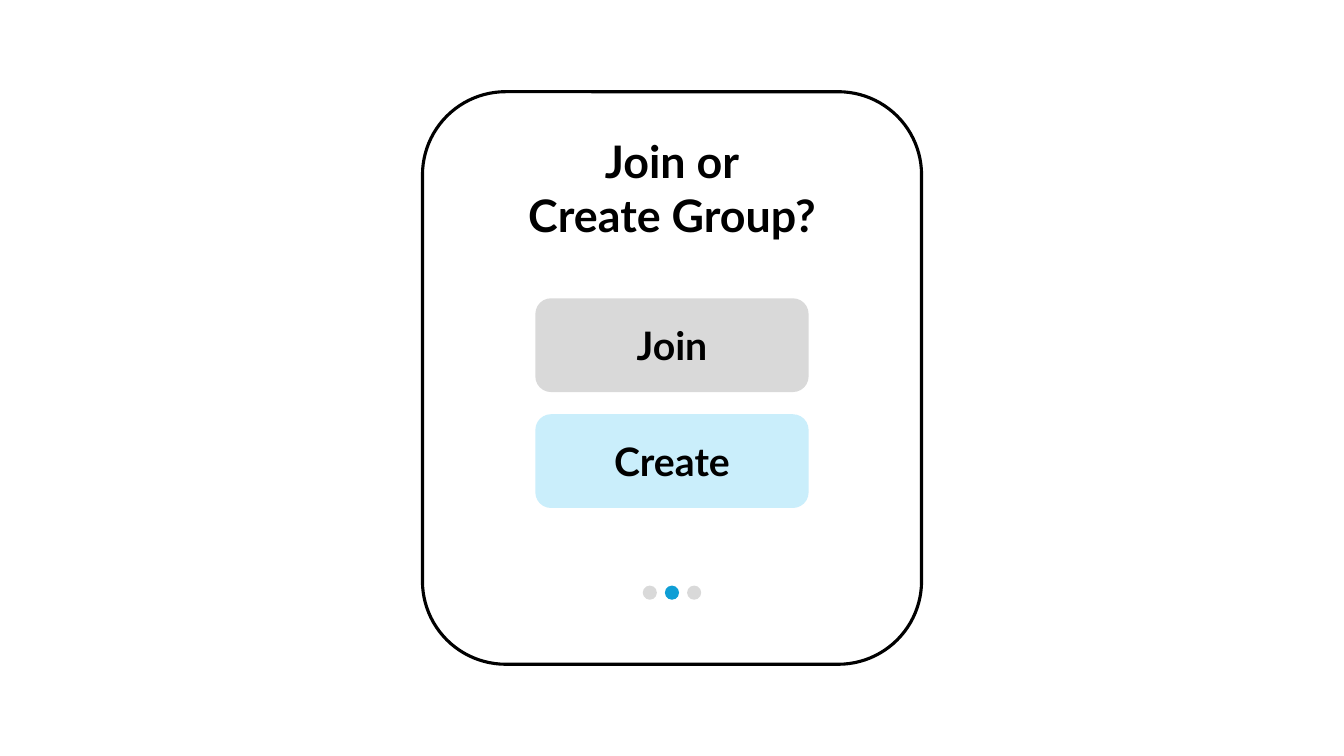
from lxml import etree
from pptx import Presentation
from pptx.dml.color import RGBColor
from pptx.enum.shapes import MSO_SHAPE
from pptx.enum.text import MSO_ANCHOR, MSO_AUTO_SIZE, PP_ALIGN
from pptx.oxml.ns import qn
from pptx.util import Inches, Pt

ROUNDED, OVAL = MSO_SHAPE.ROUNDED_RECTANGLE, MSO_SHAPE.OVAL
CENTER, MIDDLE = PP_ALIGN.CENTER, MSO_ANCHOR.MIDDLE
GROW = MSO_AUTO_SIZE.SHAPE_TO_FIT_TEXT

# Content
FONT = "Lato"
COLORS = {"ink": "000000", "white": "FFFFFF", "gray": "D9D9D9",
          "pale_blue": "CAEEFB", "blue": "0F9ED5"}
QUESTION = "Join or\vCreate Group?"
BUTTONS = [("Join", "gray"), ("Create", "pale_blue")]
PAGE_DOTS = ["gray", "blue", "gray"]

# Layout in inches
SLIDE_W, SLIDE_H = 13.33, 7.5
SCREEN = (4.19, 0.91, 4.95, 5.68)
SCREEN_OPACITY = 36
QUESTION_BOX = (4.81, 1.28, 3.71, 1.18)
BUTTON_TOP, BUTTON_W, BUTTON_H, BUTTON_STEP = 2.96, 2.71, 0.93, 1.15
DOT_TOP, DOT_SIZE, DOT_STEP = 5.81, 0.14, 0.22
CENTER_X = SCREEN[0] + SCREEN[2] / 2


def color(name):
    return RGBColor.from_string(COLORS[name])


def add_filled(shapes, kind, box, fill):
    shape = shapes.add_shape(kind, *map(Inches, box))
    shape.shadow.inherit = False
    shape.fill.solid()
    shape.fill.fore_color.rgb = color(fill)
    shape.line.fill.background()
    return shape


def write(frame, text, size):
    frame.text = text
    frame.word_wrap = True
    paragraph = frame.paragraphs[0]
    paragraph.alignment = CENTER
    for run in paragraph.runs:
        run.font.name = FONT
        run.font.size = Pt(size)
        run.font.bold = True
        run.font.color.rgb = color("ink")


prs = Presentation()
prs.slide_width, prs.slide_height = Inches(SLIDE_W), Inches(SLIDE_H)
slide = prs.slides.add_slide(prs.slide_layouts[6])

# Watch screen with a translucent fill
screen = add_filled(slide.shapes, ROUNDED, SCREEN, "white")
screen.line.color.rgb = color("ink")
screen.line.width = Pt(2.25)
screen_fill = screen._element.spPr.find(qn("a:solidFill"))
etree.SubElement(screen_fill[0], qn("a:alpha"), val=str(SCREEN_OPACITY * 1000))

# Question
question = slide.shapes.add_textbox(*map(Inches, QUESTION_BOX)).text_frame
write(question, QUESTION, 32)
question.auto_size = GROW

# Page dots
dots = slide.shapes.add_group_shape()
first_dot_x = CENTER_X - (DOT_STEP * (len(PAGE_DOTS) - 1) + DOT_SIZE) / 2
for i, fill in enumerate(PAGE_DOTS):
    add_filled(dots.shapes, OVAL,
               (first_dot_x + i * DOT_STEP, DOT_TOP, DOT_SIZE, DOT_SIZE), fill)

# Buttons
for i, (label, fill) in enumerate(BUTTONS):
    box = (CENTER_X - BUTTON_W / 2, BUTTON_TOP + i * BUTTON_STEP, BUTTON_W, BUTTON_H)
    button = add_filled(slide.shapes, ROUNDED, box, fill)
    write(button.text_frame, label, 28)
    button.text_frame.vertical_anchor = MIDDLE

prs.save("out.pptx")
